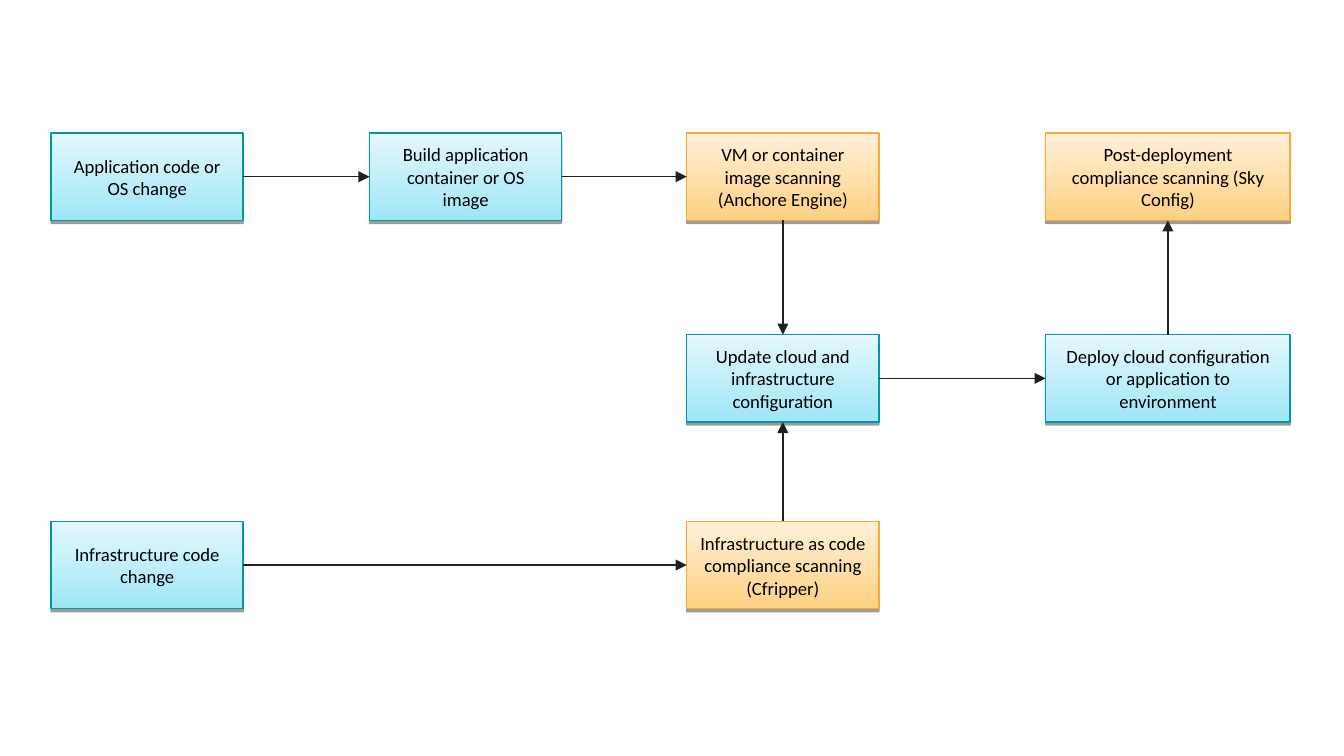
from lxml import etree
from pptx import Presentation
from pptx import util as u
from pptx.dml.color import RGBColor
from pptx.enum import shapes, text
from pptx.oxml import parse_xml
from pptx.oxml.ns import nsdecls, qn

COLORS = {"text": "000000", "arrow": "202020", "shadow": "000000"}
STYLES = {
    "step": {"bottom": "9EE6F6", "top": "E5F8FD", "line": "0097A7"},
    "scan": {"bottom": "FFD081", "top": "FFF0D9", "line": "FEA83A"},
}

COLUMNS = [(0.38, 1.43), (2.75, 1.43), (5.11, 1.43), (7.78, 1.82)]  # left, width
ROWS = [0.99, 2.49, 3.88]
BOX_HEIGHT = 0.65

# name: (column, row, style, label)
BOXES = {
    "app change": (0, 0, "step", "Application code or OS change"),
    "build": (1, 0, "step", "Build application container or OS image"),
    "image scan": (2, 0, "scan", "VM or container image scanning (Anchore Engine)"),
    "post scan": (3, 0, "scan", "Post-deployment compliance scanning (Sky Config)"),
    "update": (2, 1, "step", "Update cloud and infrastructure configuration"),
    "deploy": (3, 1, "step", "Deploy cloud configuration or application to environment"),
    "infra change": (0, 2, "step", "Infrastructure code change"),
    "infra scan": (2, 2, "scan", "Infrastructure as code compliance scanning (Cfripper)"),
}
ARROWS = [
    ("app change", "build"),
    ("build", "image scan"),
    ("image scan", "update"),
    ("infra change", "infra scan"),
    ("infra scan", "update"),
    ("update", "deploy"),
    ("deploy", "post scan"),
]
TOP, LEFT, BOTTOM, RIGHT = range(4)  # connection sites of a rectangle


def color(value):
    return RGBColor.from_string(value)


def add_shadow(shape):
    """Give the shape a hard shadow just below it."""
    shape.shadow.inherit = False
    effects = shape._element.spPr.find(qn("a:effectLst"))
    effects.append(parse_xml(
        f'<a:outerShdw {nsdecls("a")} dist="{u.Pt(1.6)}" dir="5400000" rotWithShape="0">'
        f'<a:srgbClr val="{COLORS["shadow"]}"><a:alpha val="38000"/></a:srgbClr>'
        '</a:outerShdw>'))


def add_box(slide, column, row, style, label):
    left, width = COLUMNS[column]
    shape = slide.shapes.add_shape(
        shapes.MSO_SHAPE.RECTANGLE, u.Inches(left), u.Inches(ROWS[row]),
        u.Inches(width), u.Inches(BOX_HEIGHT))
    palette = STYLES[style]
    shape.fill.gradient()
    shape.fill.gradient_angle = 90
    for stop, edge in zip(shape.fill.gradient_stops, ("bottom", "top")):
        stop.color.rgb = color(palette[edge])
    shape.line.color.rgb = color(palette["line"])
    shape.line.width = u.Pt(0.75)
    add_shadow(shape)

    frame = shape.text_frame
    frame.text = label
    frame.word_wrap = True
    frame.vertical_anchor = text.MSO_ANCHOR.MIDDLE
    frame.margin_left = frame.margin_right = u.Inches(0.1)
    frame.margin_top = frame.margin_bottom = u.Inches(0.1)
    paragraph = frame.paragraphs[0]
    paragraph.alignment = text.PP_ALIGN.CENTER
    font = paragraph.runs[0].font
    font.name, font.size = "Calibri", u.Pt(10)
    font.color.rgb = color(COLORS["text"])
    return shape


def add_arrow(slide, start, end):
    """Join two boxes along their shared row or column."""
    if start.top == end.top:
        sites = RIGHT, LEFT
    elif start.top < end.top:
        sites = BOTTOM, TOP
    else:
        sites = TOP, BOTTOM
    arrow = slide.shapes.add_connector(shapes.MSO_CONNECTOR.STRAIGHT, 0, 0, 0, 0)
    arrow.begin_connect(start, sites[0])
    arrow.end_connect(end, sites[1])
    arrow.line.color.rgb = color(COLORS["arrow"])
    arrow.line.width = u.Pt(0.75)
    properties = arrow._element.spPr
    etree.SubElement(properties.find(qn("a:ln")), qn("a:tailEnd"), type="triangle")
    etree.SubElement(properties, qn("a:effectLst"))


def main():
    presentation = Presentation()
    presentation.slide_width = u.Inches(10)
    presentation.slide_height = presentation.slide_width * 9 // 16
    slide = presentation.slides.add_slide(presentation.slide_layouts[6])
    boxes = {name: add_box(slide, *box) for name, box in BOXES.items()}
    for start, end in ARROWS:
        add_arrow(slide, boxes[start], boxes[end])
    presentation.save("out.pptx")


if __name__ == "__main__":
    main()
